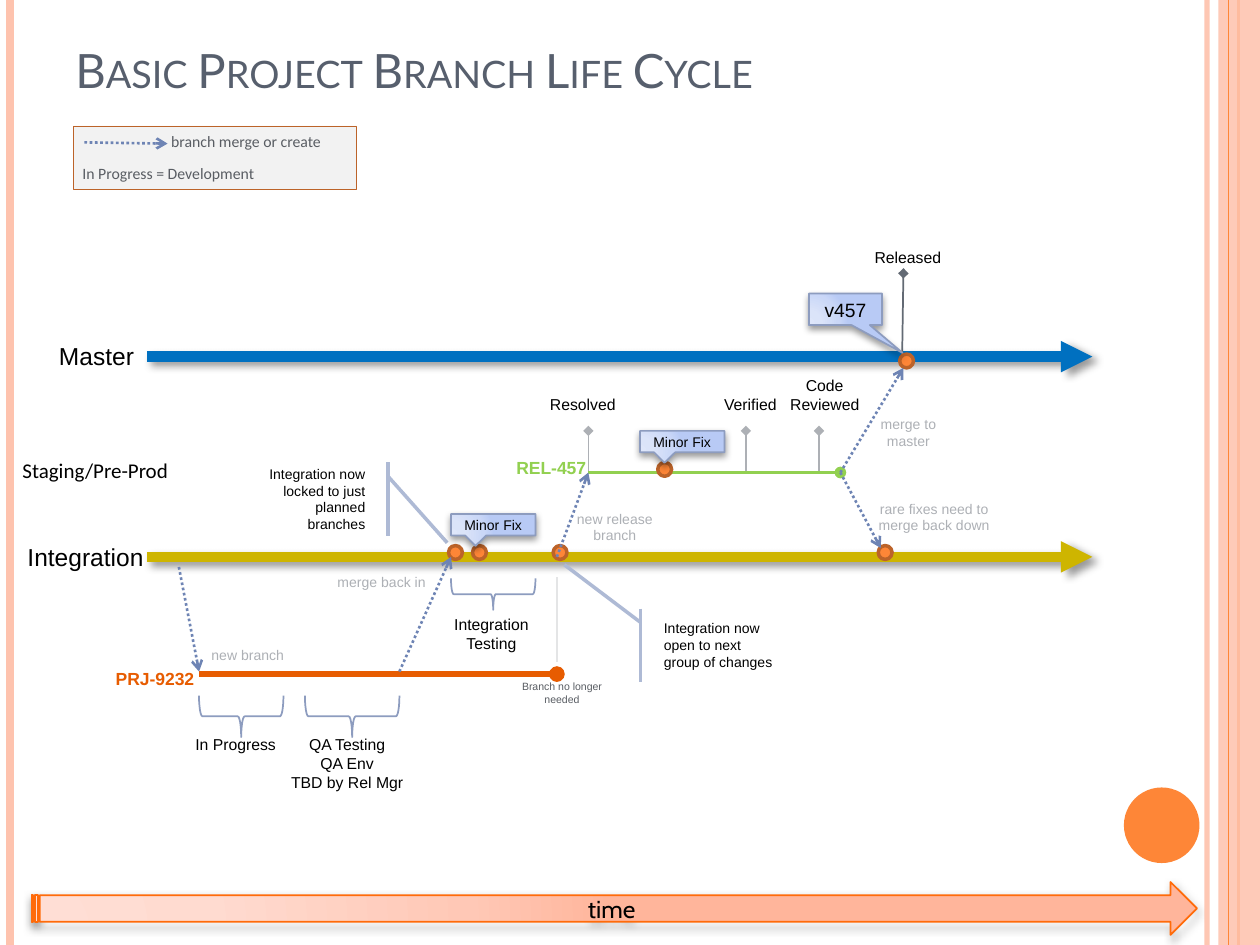
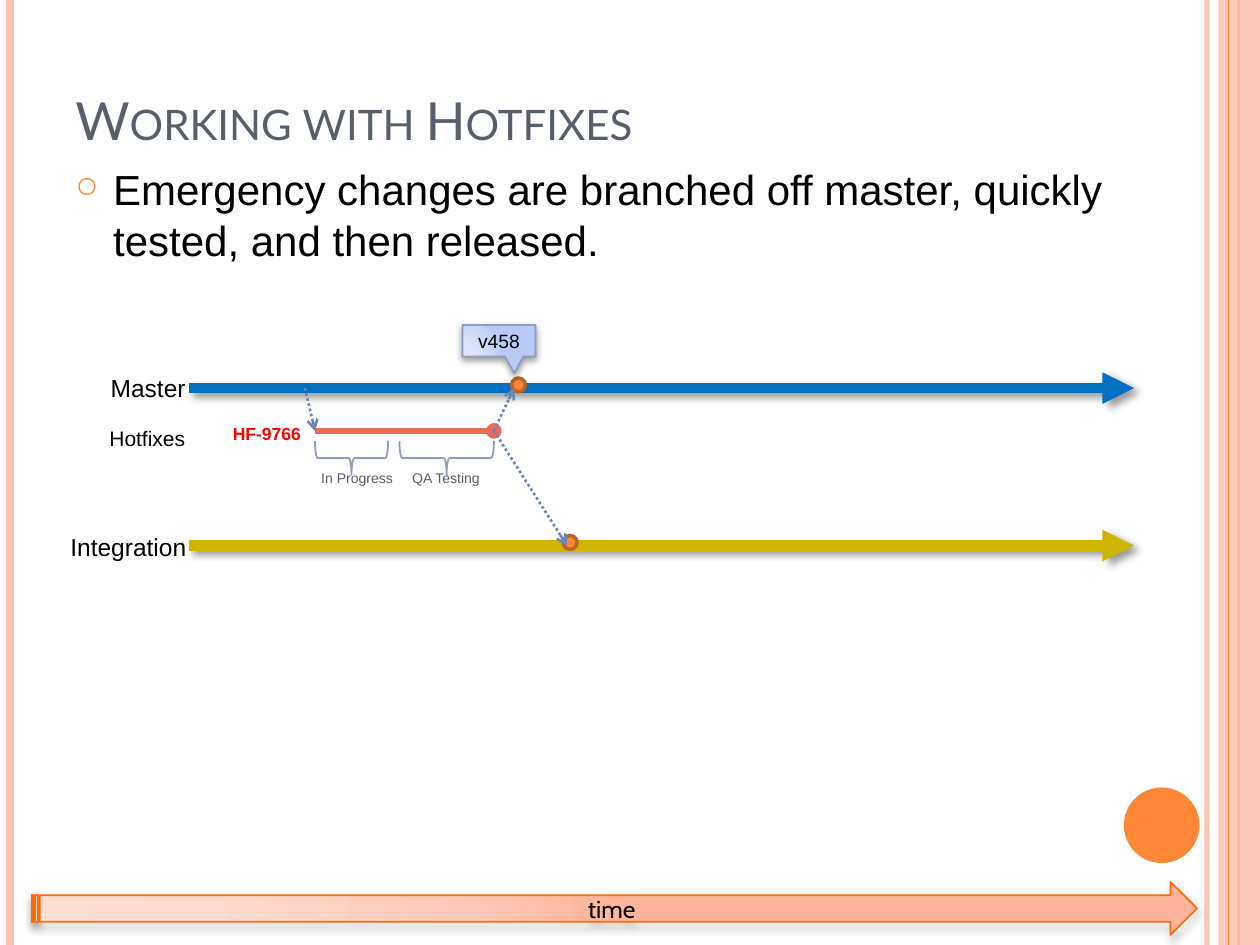
import pptx
import pptx.util
import pptx.oxml
import pptx.oxml.ns
import pptx.dml.color
import pptx.enum.dml
import pptx.enum.shapes
import pptx.enum.text

Inches = pptx.util.Inches
Pt = pptx.util.Pt
RGB = pptx.dml.color.RGBColor
SHAPE = pptx.enum.shapes.MSO_SHAPE
ALIGN = pptx.enum.text.PP_ALIGN
ANCHOR = pptx.enum.text.MSO_ANCHOR
AUTO = pptx.enum.text.MSO_AUTO_SIZE

# Colours
BLACK = RGB(0x00, 0x00, 0x00)
WHITE = RGB(0xFF, 0xFF, 0xFF)
PEACH = RGB(0xFE, 0xC3, 0xAE)
ORANGE = RGB(0xFE, 0x86, 0x37)
RUST = RGB(0xBC, 0x63, 0x29)
TIME_EDGE = RGB(0xFF, 0x6B, 0x0A)
TITLE_SLATE = RGB(0x57, 0x5F, 0x6D)
LEGEND_FILL = RGB(0xF2, 0xF2, 0xF2)
MASTER_BLUE = RGB(0x00, 0x70, 0xC0)
INTEGRATION_GOLD = RGB(0xCE, 0xB5, 0x00)
PROJECT_ORANGE = RGB(0xE7, 0x5C, 0x01)
RELEASE_GREEN = RGB(0x92, 0xD0, 0x50)
HOTFIX_CORAL = RGB(0xEB, 0x6E, 0x5A)
HOTFIX_RED = RGB(0xFF, 0x00, 0x00)
MERGE_BLUE = RGB(0x6E, 0x84, 0xB4)
BRACE_BLUE = RGB(0x8D, 0x9C, 0xBF)
CALLOUT_BLUE = RGB(0xAE, 0xBA, 0xD5)
NOTE_GRAY = RGB(0xAD, 0xB0, 0xB5)
DARK_GRAY = RGB(0x59, 0x5D, 0x63)
RELEASED_GRAY = RGB(0x63, 0x6A, 0x74)
FAINT_GRAY = RGB(0xE4, 0xE5, 0xE6)
BLUE_STOPS = ((0, "DEE6FA"), (30, "DBE4F9"), (75, "CAD7F7"), (100, "B8CAF5"))
PEACH_STOPS = ((0, "FFDED5"), (30, "FFDBD0"), (75, "FFC8B6"), (100, "FFB59B"))


# XML helpers
def xml(tag, body="", **attributes):
    settings = "".join(f' {key}="{value}"' for key, value in attributes.items())
    return pptx.oxml.parse_xml(
        f'<a:{tag} {pptx.oxml.ns.nsdecls("a")}{settings}>{body}</a:{tag}>')


def set_alpha(element, percent):
    for color in element.iter(pptx.oxml.ns.qn("a:srgbClr")):
        color.append(xml("alpha", val=percent * 1000))


def add_shadow(properties, distance, angle):
    effects = properties.find(pptx.oxml.ns.qn("a:effectLst"))
    effects.append(xml(
        "outerShdw", '<a:srgbClr val="000000"><a:alpha val="40000"/></a:srgbClr>',
        blurRad=Pt(4), dist=Pt(distance), dir=angle * 60000, rotWithShape=0))


def set_gradient(shape, stops):
    shape.fill.background()
    placeholder = shape._element.spPr.find(pptx.oxml.ns.qn("a:noFill"))
    stop_list = "".join(f'<a:gs pos="{at * 1000}"><a:srgbClr val="{color}"/></a:gs>'
                        for at, color in stops)
    gradient = xml("gradFill", f'<a:gsLst>{stop_list}</a:gsLst><a:path path="circle">'
                   '<a:fillToRect l="5000" t="100000" r="120000" b="10000"/></a:path>')
    shape._element.spPr.replace(placeholder, gradient)


# Text
def write(frame, text, size=9, color=BLACK, font="Arial", bold=False,
          align=ALIGN.LEFT, anchor=ANCHOR.TOP, wrap=True, small_caps=False):
    frame.word_wrap = wrap
    frame.vertical_anchor = anchor
    for number, words in enumerate(text.split("\n")):
        paragraph = frame.add_paragraph() if number else frame.paragraphs[0]
        paragraph.alignment = align
        run = paragraph.add_run()
        run.text = words
        run.font.size = Pt(size)
        run.font.name = font
        run.font.bold = bold
        run.font.color.rgb = color
        if small_caps:
            run.font._element.set("cap", "small")


def add_text(slide, text, left, top, width, height, grow=True, **text_format):
    box = slide.shapes.add_textbox(Inches(left), Inches(top), Inches(width), Inches(height))
    write(box.text_frame, text, **text_format)
    box.text_frame.auto_size = AUTO.SHAPE_TO_FIT_TEXT if grow else AUTO.NONE
    return box


def add_label(slide, text, left, top, width, height, **text_format):
    return add_text(slide, text, left, top, width, height, wrap=False, **text_format)


def add_caption(slide, text, left, top, width, height, **text_format):
    return add_text(slide, text, left, top, width, height, align=ALIGN.CENTER, **text_format)


def add_title(slide, text, height, size):
    add_text(slide, text, 0.5, 0.3, 8.17, height, grow=False, size=size, font="Lato",
             color=TITLE_SLATE, anchor=ANCHOR.BOTTOM, small_caps=True)


def add_bullet(slide, text, left, top, width, height, **text_format):
    box = add_text(slide, text, left, top, width, height, grow=False, **text_format)
    paragraph = box.text_frame.paragraphs[0]
    paragraph.space_before = Pt(6)
    properties = paragraph._p.get_or_add_pPr()
    properties.set("marL", str(Inches(0.3)))
    properties.set("indent", str(-Inches(0.3)))
    properties.append(xml("buClr", f'<a:srgbClr val="{ORANGE}"/>'))
    properties.append(xml("buSzPct", val=70000))
    properties.append(xml("buChar", char="○"))


# Shapes and lines
def add_shape(slide, kind, left, top, width, height, fill=None, line=None, weight=1.0):
    shape = slide.shapes.add_shape(
        kind, Inches(left), Inches(top), Inches(width), Inches(height))
    shape.shadow.inherit = False
    if fill is None:
        shape.fill.background()
    else:
        shape.fill.solid()
        shape.fill.fore_color.rgb = fill
    if line is None:
        shape.line.fill.background()
    else:
        shape.line.color.rgb = line
        shape.line.width = Pt(weight)
    return shape


def add_line(slide, start, end, color, weight=1.0, head=None, tail=None, dotted=False):
    line = slide.shapes.add_connector(
        pptx.enum.shapes.MSO_CONNECTOR.STRAIGHT, *map(Inches, start + end))
    line.line.color.rgb = color
    line.line.width = Pt(weight)
    if dotted:
        line.line.dash_style = pptx.enum.dml.MSO_LINE.ROUND_DOT
    outline = line.line._get_or_add_ln()
    for tag, arrowhead in (("headEnd", head), ("tailEnd", tail)):
        if arrowhead:
            outline.append(xml(tag, type=arrowhead))
    line._element.spPr.append(xml("effectLst"))
    return line


def add_merge(slide, start, end):
    add_line(slide, start, end, MERGE_BLUE, 1.5, tail="arrow", dotted=True)


def add_trunk(slide, left, y, color):
    trunk = add_line(slide, (left, y), (left + 7.5, y), color, 6, tail="triangle")
    add_shadow(trunk._element.spPr, 3, 45)


def add_branch(slide, left, right, y, color, weight):
    add_line(slide, (left, y), (right, y), color, weight, tail="oval")


def add_commit(slide, left, top):
    add_shape(slide, SHAPE.OVAL, left, top, 0.11, 0.11, ORANGE, RUST, 2)


def add_brace(slide, left, top, width, depth):
    """Brace under a span: its box is upright, then turned to point down."""
    shift = (width - depth) / 2
    brace = add_shape(slide, SHAPE.LEFT_BRACE, left + shift, top - shift, depth, width,
                      line=BRACE_BLUE)
    brace.rotation = 270


def add_glossy(slide, kind, text, left, top, width, height, stops, line, **text_format):
    shape = add_shape(slide, kind, left, top, width, height, WHITE, line)
    set_gradient(shape, stops)
    add_shadow(shape._element.spPr, 2, 90)
    write(shape.text_frame, text, align=ALIGN.CENTER, anchor=ANCHOR.MIDDLE, **text_format)
    return shape


def set_adjustments(shape, values):
    for number, value in enumerate(values):
        shape.adjustments[number] = value


def add_tag(slide, text, left, top, width, height, pointer, size):
    tag = add_glossy(slide, SHAPE.RECTANGULAR_CALLOUT, text, left, top, width, height,
                     BLUE_STOPS, BRACE_BLUE, size=size)
    set_adjustments(tag, pointer)


def add_bar_callout(slide, text, left, top, width, pointer, align, flipped=False):
    callout = add_shape(slide, SHAPE.LINE_CALLOUT_1_ACCENT_BAR, left, top, width, 0.58,
                        WHITE, CALLOUT_BLUE, 2)
    set_adjustments(callout, (0.19, -0.08) + pointer)
    if flipped:
        callout._element.spPr.xfrm.set("flipH", "1")
    write(callout.text_frame, text, size=8, align=align, anchor=ANCHOR.MIDDLE)


# Parts both slides share
def add_frame(slide):
    outer = add_line(slide, (9.58, 0), (9.58, 7.5), PEACH, 3)
    set_alpha(outer._element.spPr, 93)
    add_line(slide, (0.08, 0), (0.08, 7.5), PEACH, 4.5)
    add_line(slide, (9.83, 0), (9.83, 7.5), ORANGE, 1.5)
    band = add_shape(slide, SHAPE.RECTANGLE, 9.67, 0, 0.33, 7.5, PEACH)
    set_alpha(band._element.spPr, 87)
    add_line(slide, (9.75, 0), (9.75, 7.5), ORANGE, 0.75)
    add_shape(slide, SHAPE.OVAL, 8.92, 6.25, 0.6, 0.6, ORANGE)
    add_glossy(slide, SHAPE.STRIPED_RIGHT_ARROW, "time", 0.25, 7, 9.25, 0.42,
               PEACH_STOPS, TIME_EDGE, size=14, font="Cabin")


def add_legend(slide):
    add_shape(slide, SHAPE.RECTANGLE, 0.58, 1, 2.25, 0.5, LEGEND_FILL, RUST, 0.25)
    add_merge(slide, (0.67, 1.13), (1.33, 1.14))
    add_text(slide, "branch merge or create", 1.26, 1, 1.55, 0.25,
             font="Calibri", color=DARK_GRAY)
    add_caption(slide, "In Progress = Development", 0.5, 1.25, 1.67, 0.25,
                font="Calibri", color=DARK_GRAY)


def build_life_cycle(slide):
    add_frame(slide)
    add_title(slide, "Basic Project Branch Life Cycle", 0.53, 27)
    add_legend(slide)

    # Long-lived branches
    add_trunk(slide, 1.17, 2.83, MASTER_BLUE)
    add_trunk(slide, 1.17, 4.42, INTEGRATION_GOLD)
    add_label(slide, "Master", 0.37, 2.66, 0.8, 0.34, size=14)
    add_label(slide, "Integration", 0.12, 4.25, 1.13, 0.34, size=14)
    add_label(slide, "Staging/Pre-Prod", 0.08, 3.58, 1.37, 0.3, size=12, font="Calibri")

    # Project branch
    add_branch(slide, 1.58, 4.42, 5.35, PROJECT_ORANGE, 3)
    add_label(slide, "PRJ-9232", 0.82, 5.25, 0.83, 0.27, size=10, color=PROJECT_ORANGE, bold=True)
    add_brace(slide, 1.58, 5.52, 0.67, 0.33)
    add_brace(slide, 2.42, 5.52, 0.75, 0.33)
    add_brace(slide, 3.58, 4.59, 0.67, 0.25)
    add_line(slide, (4.42, 4.58), (4.42, 5.25), FAINT_GRAY)
    add_label(slide, "new branch", 1.58, 5.08, 0.79, 0.24, size=8, color=NOTE_GRAY)
    add_label(slide, "merge back in", 2.58, 4.5, 0.91, 0.24, size=8, color=NOTE_GRAY)
    add_caption(slide, "Branch no longer needed", 3.92, 5.35, 1.08, 0.3, size=6, color=DARK_GRAY)

    # Release branch and its milestones
    add_label(slide, "REL-457", 4, 3.58, 0.76, 0.27, size=10, color=RELEASE_GREEN, bold=True)
    for x in (4.67, 5.92, 6.5):
        add_line(slide, (x, 3.42), (x, 3.75), NOTE_GRAY, head="diamond")
    add_branch(slide, 4.67, 6.67, 3.75, RELEASE_GREEN, 2.25)
    add_line(slide, (7.17, 2.17), (7.16, 2.83), RELEASED_GRAY, head="diamond")

    # Stage names
    for text, left, top, width, height in (
            ("In Progress", 1.33, 5.78, 1.08, 0.25),
            ("QA Testing\nQA Env\nTBD by Rel Mgr", 2.17, 5.78, 1.17, 0.56),
            ("Integration Testing", 3.33, 4.83, 1.14, 0.4),
            ("Resolved", 4.25, 3.08, 0.75, 0.25),
            ("Verified", 5.58, 3.08, 0.75, 0.25),
            ("Code\nReviewed", 6.17, 2.93, 0.75, 0.4),
            ("Released", 6.83, 1.92, 0.75, 0.25)):
        add_caption(slide, text, left, top, width, height)

    # Merge notes
    for text, left, top, width in (
            ("new release branch", 4.42, 4, 0.92),
            ("merge to master", 6.75, 3.25, 0.92),
            ("rare fixes need to merge back down", 6.75, 3.92, 1.33)):
        add_caption(slide, text, left, top, width, 0.37, size=8, color=NOTE_GRAY)

    # Callouts, commits and merges
    add_bar_callout(slide, "Integration now locked to just planned branches", 2, 3.67, 1,
                    (1.1, -0.55), ALIGN.RIGHT, flipped=True)
    add_bar_callout(slide, "Integration now open to next group of changes", 5.17, 4.83, 1.08,
                    (-0.6, -0.64), ALIGN.LEFT)
    for left, top in ((3.56, 4.33), (3.75, 4.33), (4.39, 4.33), (6.97, 4.33),
                      (5.22, 3.67), (7.14, 2.81)):
        add_commit(slide, left, top)
    for left, top in ((3.58, 4.08), (5.08, 3.42)):
        add_tag(slide, "Minor Fix", left, top, 0.67, 0.17, (-0.21, 0.99), 8)
    add_tag(slide, "v457", 6.42, 2.33, 0.58, 0.25, (0.78, 1.38), 11)
    for start, end in (((1.42, 4.5), (1.58, 5.33)), ((3.17, 5.33), (3.58, 4.42)),
                       ((4.42, 4.42), (4.67, 3.75)), ((6.67, 3.75), (7.17, 2.92)),
                       ((6.67, 3.75), (6.99, 4.35))):
        add_merge(slide, start, end)


def build_hotfixes(slide):
    add_frame(slide)
    add_title(slide, "Working with Hotfixes", 0.95, 30)
    add_bullet(slide, "Emergency changes are branched off master, quickly tested, "
               "and then released.", 0.5, 1.25, 8.83, 1.42, size=24)

    # Long-lived branches
    add_trunk(slide, 1.5, 3.08, MASTER_BLUE)
    add_trunk(slide, 1.5, 4.33, INTEGRATION_GOLD)
    add_label(slide, "Master", 0.78, 2.91, 0.8, 0.34, size=14)
    add_label(slide, "Integration", 0.46, 4.17, 1.13, 0.34, size=14)
    add_label(slide, "Hotfixes", 0.77, 3.33, 0.81, 0.3, size=12)

    # Hotfix branch
    add_label(slide, "HF-9766", 1.75, 3.31, 0.75, 0.27, size=10, color=HOTFIX_RED, bold=True)
    add_brace(slide, 2.5, 3.5, 0.58, 0.27)
    add_brace(slide, 3.17, 3.5, 0.75, 0.27)
    add_caption(slide, "In Progress", 2.42, 3.68, 0.83, 0.24, size=8, color=DARK_GRAY)
    add_caption(slide, "QA Testing", 3.08, 3.68, 0.92, 0.24, size=8, color=DARK_GRAY)
    add_branch(slide, 2.5, 3.92, 3.42, HOTFIX_CORAL, 3)

    # Commits and merges
    add_commit(slide, 4.47, 4.25)
    add_commit(slide, 4.06, 3)
    add_tag(slide, "v458", 3.67, 2.58, 0.58, 0.25, (0.21, 1.03), 11)
    for start, end in (((2.42, 3.08), (2.5, 3.42)), ((3.92, 3.42), (4.08, 3.08)),
                       ((3.92, 3.42), (4.5, 4.33))):
        add_merge(slide, start, end)


def main():
    deck = pptx.Presentation()
    deck.slide_width = Inches(10)
    deck.slide_height = Inches(7.5)
    for build in (build_life_cycle, build_hotfixes):
        build(deck.slides.add_slide(deck.slide_layouts[6]))
    deck.save("out.pptx")


main()
